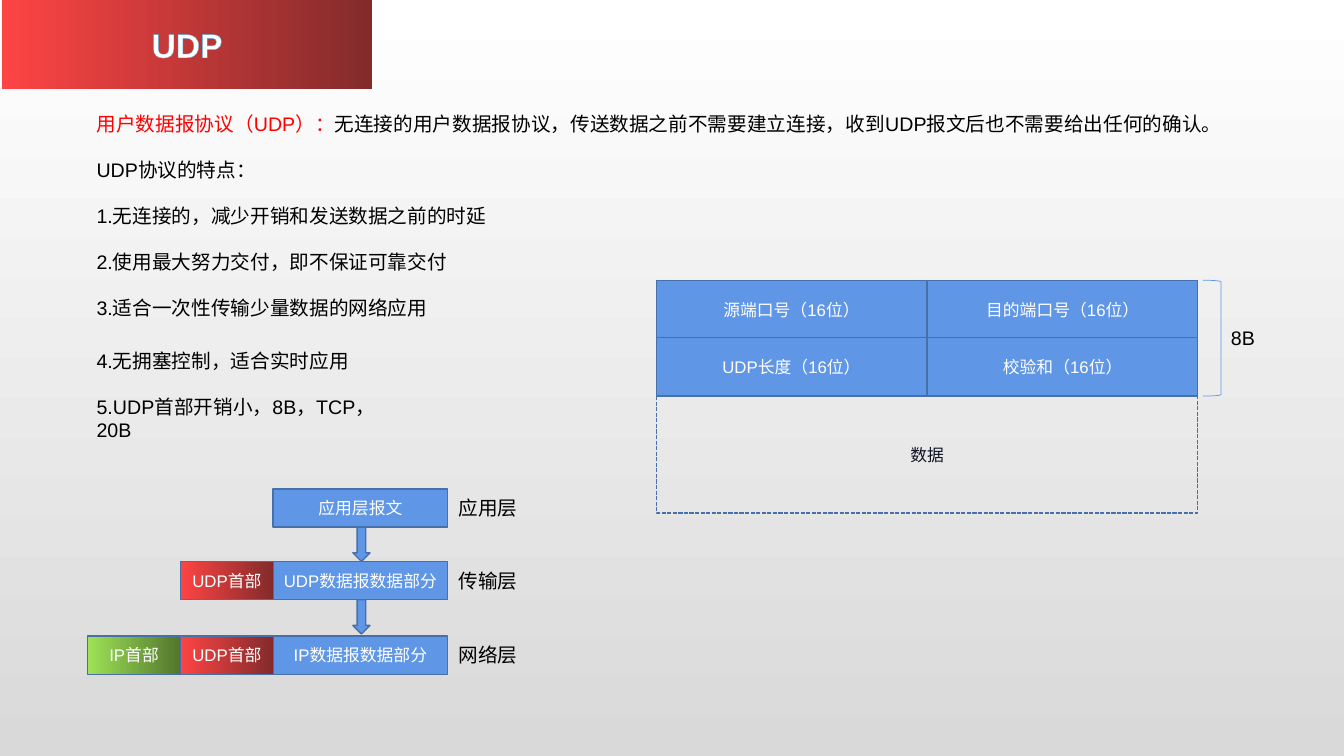
from dataclasses import dataclass

from lxml import etree
from pptx import Presentation
from pptx.dml.color import RGBColor
from pptx.dml.fill import FillFormat
from pptx.enum.dml import MSO_LINE
from pptx.enum.shapes import MSO_SHAPE
from pptx.enum.text import MSO_ANCHOR, MSO_AUTO_SIZE, PP_ALIGN
from pptx.oxml.ns import qn
from pptx.shapes.autoshape import Shape
from pptx.slide import Slide
from pptx.text.text import TextFrame
from pptx.util import Pt

PX = 9144

RECT = MSO_SHAPE.RECTANGLE
ARROW = MSO_SHAPE.DOWN_ARROW
BRACKET = MSO_SHAPE.RIGHT_BRACKET
DASH = MSO_LINE.SQUARE_DOT
LEFT, CENTER = PP_ALIGN.LEFT, PP_ALIGN.CENTER
TOP, MIDDLE = MSO_ANCHOR.TOP, MSO_ANCHOR.MIDDLE
FIXED = MSO_AUTO_SIZE.NONE

WHITE = RGBColor(0xFF, 0xFF, 0xFF)
BLACK = RGBColor(0x00, 0x00, 0x00)
GRAY = RGBColor(0xD9, 0xD9, 0xD9)
INK = RGBColor(0x0F, 0x14, 0x23)
RED = RGBColor(0xFF, 0x00, 0x00)
CORAL = RGBColor(0xFE, 0x44, 0x44)
WINE = RGBColor(0x83, 0x2B, 0x2B)
LIME = RGBColor(0x9E, 0xE2, 0x56)
MOSS = RGBColor(0x52, 0x76, 0x2D)
BLUE = RGBColor(0x60, 0x96, 0xE6)
NAVY = RGBColor(0x47, 0x6F, 0xAA)
SKY = RGBColor(0x58, 0xB6, 0xE5)

Run = tuple[str, RGBColor]
Paint = tuple[RGBColor, ...]


@dataclass(frozen=True)
class Box:
    x: int
    y: int
    w: int
    h: int


@dataclass(frozen=True)
class Head:
    words: str
    paint: Paint


@dataclass(frozen=True)
class Layer:
    y: int
    name: str
    body: str
    heads: tuple[Head, ...]


@dataclass(frozen=True)
class Note:
    box: Box
    lines: tuple[tuple[Run, ...], ...]
    wrap: bool = True


UDP = Head("UDP首部", (CORAL, WINE))
IP = Head("IP首部", (LIME, MOSS))
LAYERS = (
    Layer(485, "应用层", "应用层报文", ()),
    Layer(557, "传输层", "UDP数据报数据部分", (UDP,)),
    Layer(631, "网络层", "IP数据报数据部分", (UDP, IP)),
)
BODY_X, BODY_W, HEAD_W, ROW_H = 271, 173, 92, 38

FIELDS = (
    ("源端口号（16位）", "目的端口号（16位）"),
    ("UDP长度（16位）", "校验和（16位）"),
)
GRID = Box(651, 278, 537, 115)

NOTES = (
    Note(Box(86, 106, 1186, 222), (
        (("用户数据报协议（UDP）：", RED),
         ("无连接的用户数据报协议，传送数据之前不需要建立连接，收到UDP报文后也不需要给出任何的确认。", BLACK)),
        (("UDP协议的特点：", BLACK),),
        (("1.无连接的，减少开销和发送数据之前的时延", BLACK),),
        (("2.使用最大努力交付，即不保证可靠交付", BLACK),),
        (("3.适合一次性传输少量数据的网络应用", BLACK),),
    )),
    Note(Box(86, 341, 330, 81), (
        (("4.无拥塞控制，适合实时应用", BLACK),),
        (("5.UDP首部开销小，8B，TCP，20B", BLACK),),
    )),
    Note(Box(1211, 318, 44, 34), ((("8B", BLACK),),), wrap=False),
)


def place(shape: Shape, box: Box) -> None:
    shape.left, shape.top = box.x * PX, box.y * PX
    shape.width, shape.height = box.w * PX, box.h * PX


def write(frame: TextFrame, lines: tuple[tuple[Run, ...], ...], *,
          size: int = 12, bold: bool = False, align: PP_ALIGN = CENTER,
          anchor: MSO_ANCHOR = MIDDLE, wrap: bool = True, gap: int = 0) -> None:
    frame.auto_size = FIXED
    frame.word_wrap = wrap
    frame.vertical_anchor = anchor
    for i, line in enumerate(lines):
        para = frame.add_paragraph() if i else frame.paragraphs[0]
        para.alignment = align
        para.space_before = Pt(gap if i else 0)
        for words, color in line:
            run = para.add_run()
            run.text = words
            run.font.name = "Arial"
            run.font.size = Pt(size)
            run.font.bold = bold
            run.font.color.rgb = color


def tint(fill: FillFormat, paint: Paint, angle: int = 0) -> None:
    if not paint:
        fill.background()
    elif len(paint) == 1:
        fill.solid()
        fill.fore_color.rgb = paint[0]
    else:
        fill.gradient()
        fill.gradient_angle = angle
        for spot, (stop, color) in enumerate(zip(fill.gradient_stops, paint)):
            stop.position = spot
            stop.color.rgb = color


def draw(slide: Slide, kind: MSO_SHAPE, box: Box, paint: Paint = (BLUE,),
         edge: RGBColor = NAVY, width: float = 1) -> Shape:
    shape = slide.shapes.add_shape(kind, 0, 0, 0, 0)
    place(shape, box)
    shape.shadow.inherit = False
    tint(shape.fill, paint)
    shape.line.color.rgb = edge
    shape.line.width = Pt(width)
    return shape


def cell(slide: Slide, box: Box, words: str, paint: Paint = (BLUE,),
         color: RGBColor = WHITE) -> Shape:
    shape = draw(slide, RECT, box, paint)
    write(shape.text_frame, (((words, color),),))
    return shape


def note(slide: Slide, item: Note) -> None:
    shape = slide.shapes.add_textbox(0, 0, 0, 0)
    place(shape, item.box)
    write(shape.text_frame, item.lines, size=14, align=LEFT, anchor=TOP,
          wrap=item.wrap, gap=16)


def banner(slide: Slide) -> None:
    title = slide.shapes.title
    place(title, Box(2, 0, 367, 88))
    geom = etree.SubElement(title.element.spPr, qn("a:prstGeom"), prst="horizontalScroll")
    etree.SubElement(geom, qn("a:avLst"))
    tint(title.fill, (CORAL, WINE))
    write(title.text_frame, ((("UDP", WHITE),),), size=24, bold=True)
    font = title.text_frame.paragraphs[0].runs[0].font
    line = etree.Element(qn("a:ln"), w=str(Pt(0.52)))
    solid = etree.SubElement(line, qn("a:solidFill"))
    etree.SubElement(solid, qn("a:srgbClr"), val=str(SKY))
    font._element.insert(0, line)


def stack(slide: Slide) -> None:
    for i, layer in enumerate(LAYERS):
        cell(slide, Box(BODY_X, layer.y, BODY_W, ROW_H), layer.body)
        for j, head in enumerate(layer.heads, 1):
            cell(slide, Box(BODY_X - j * HEAD_W, layer.y, HEAD_W, ROW_H),
                 head.words, head.paint)
        note(slide, Note(Box(445, layer.y + 2, 78, 34),
                         (((layer.name, BLACK),),), wrap=False))
        if i < len(LAYERS) - 1:
            draw(slide, ARROW, Box(350, layer.y + ROW_H, 17, 34))


def packet(slide: Slide) -> None:
    wide, high = GRID.w // 2, GRID.h // 2
    for i, row in enumerate(FIELDS):
        for j, words in enumerate(row):
            cell(slide, Box(GRID.x + j * (wide + 1), GRID.y + i * high, wide, high + 1), words)
    data = cell(slide, Box(GRID.x, GRID.y + GRID.h, GRID.w, 116), "数据", (), INK)
    data.line.dash_style = DASH
    draw(slide, BRACKET, Box(1193, GRID.y, 18, GRID.h), (), BLUE, 0.5)


def main() -> None:
    deck = Presentation()
    deck.slide_width, deck.slide_height = 1333 * PX, 750 * PX
    slide = deck.slides.add_slide(deck.slide_layouts[5])
    tint(slide.background.fill, (WHITE, GRAY), 270)
    banner(slide)
    for item in NOTES:
        note(slide, item)
    stack(slide)
    packet(slide)
    deck.save("out.pptx")


if __name__ == "__main__":
    main()
